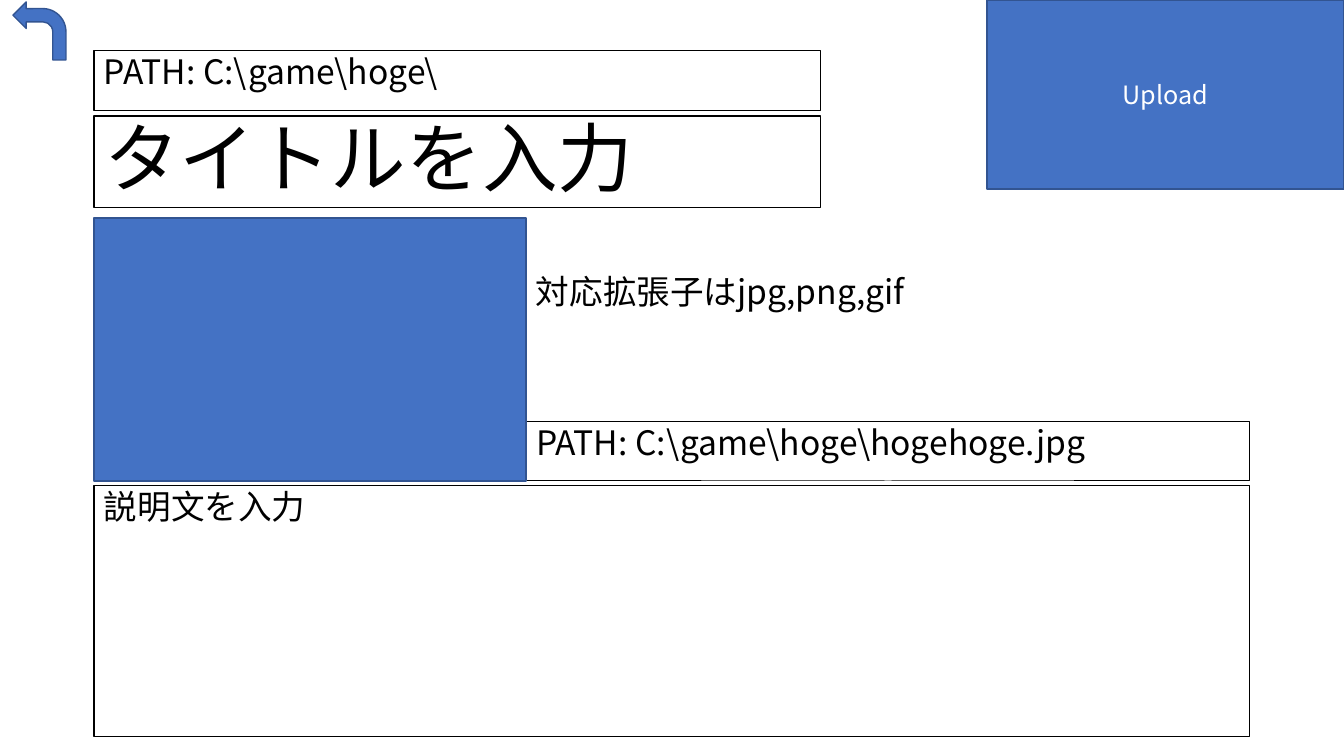
from dataclasses import dataclass

from lxml.etree import SubElement
from pptx import Presentation
from pptx.dml.color import RGBColor
from pptx.enum.shapes import MSO_SHAPE
from pptx.enum.text import MSO_ANCHOR, MSO_AUTO_SIZE, PP_ALIGN
from pptx.oxml.ns import qn
from pptx.util import Emu, Pt

SCALE = 914400 / 100.8


@dataclass(frozen=True)
class Theme:
    font: str = "Noto Sans CJK JP"
    ink: RGBColor = RGBColor(0, 0, 0)
    white: RGBColor = RGBColor(255, 255, 255)
    blue: RGBColor = RGBColor(0x44, 0x72, 0xC4)
    edge: RGBColor = RGBColor(0x32, 0x54, 0x91)
    title: int = 54
    body: int = 24
    button: int = 18


THEME = Theme()


def px(n):
    return Emu(round(n * SCALE))


def place(sp, box):
    sp.left, sp.top, sp.width, sp.height = map(px, box)


def write(sp, text, size, color=THEME.ink, anchor=MSO_ANCHOR.TOP,
          align=PP_ALIGN.LEFT, line_spacing=0.9, before=10):
    tf = sp.text_frame
    tf.word_wrap = True
    tf.auto_size = MSO_AUTO_SIZE.NONE
    tf.vertical_anchor = anchor
    tf.text = text
    p = tf.paragraphs[0]
    p.alignment = align
    p.line_spacing = line_spacing
    p.space_before = Pt(before)
    p.font.name = THEME.font
    p.font.size = Pt(size)
    p.font.color.rgb = color
    # East Asian typeface
    def_rpr = p._p.pPr.find(qn("a:defRPr"))
    SubElement(def_rpr, qn("a:ea"), typeface=THEME.font)


def outline(sp, color=THEME.ink, width=0.75):
    sp.line.color.rgb = color
    sp.line.width = Pt(width)


def blue_shape(s, kind, box):
    sp = s.shapes.add_shape(kind, *map(px, box))
    sp.shadow.inherit = False
    sp.fill.solid()
    sp.fill.fore_color.rgb = THEME.blue
    outline(sp, THEME.edge, 1)
    return sp


def text_field(s, box, text, framed=True):
    sp = s.shapes.add_textbox(*map(px, box))
    if framed:
        outline(sp)
    write(sp, text, THEME.body)


def header(s, box):
    """Folder path above the title field."""
    x, y, w, h = box
    path_h, title_h = 60, 92
    text_field(s, (x, y, w, path_h), "PATH: C:\\game\\hoge\\")
    title = s.shapes.title
    place(title, (x, y + h - title_h, w, title_h))
    outline(title)
    write(title, "タイトルを入力", THEME.title, anchor=MSO_ANCHOR.BOTTOM, before=0)


def image_row(s, box):
    """Image area, with its format note and file path on the right."""
    x, y, w, h = box
    image_w, path_h = 432, 60
    side_x, side_w = x + image_w, w - image_w
    file_path = s.placeholders[1]
    place(file_path, (side_x, y + h - path_h, side_w, path_h))
    outline(file_path)
    write(file_path, "PATH: C:\\game\\hoge\\hogehoge.jpg", THEME.body)
    blue_shape(s, MSO_SHAPE.RECTANGLE, (x, y, image_w, h))
    text_field(s, (side_x, y + 52, side_w, 108), "対応拡張子はjpg,png,gif", framed=False)


def upload_button(s, box):
    sp = blue_shape(s, MSO_SHAPE.RECTANGLE, box)
    write(sp, "Upload", THEME.button, THEME.white, MSO_ANCHOR.MIDDLE,
          PP_ALIGN.CENTER, line_spacing=1.0, before=0)


def back_arrow(s, box):
    sp = blue_shape(s, MSO_SHAPE.BENT_ARROW, box)
    sp.element.spPr.find(qn("a:xfrm")).set("flipH", "1")


prs = Presentation()
prs.slide_width, prs.slide_height = px(1344), px(756)
s = prs.slides.add_slide(prs.slide_layouts[0])

header(s, (94, 51, 727, 157))
image_row(s, (94, 218, 1156, 263))
text_field(s, (94, 486, 1156, 251), "説明文を入力")
upload_button(s, (987, 0, 357, 189))
back_arrow(s, (13, 2, 53, 58))

prs.save("out.pptx")
